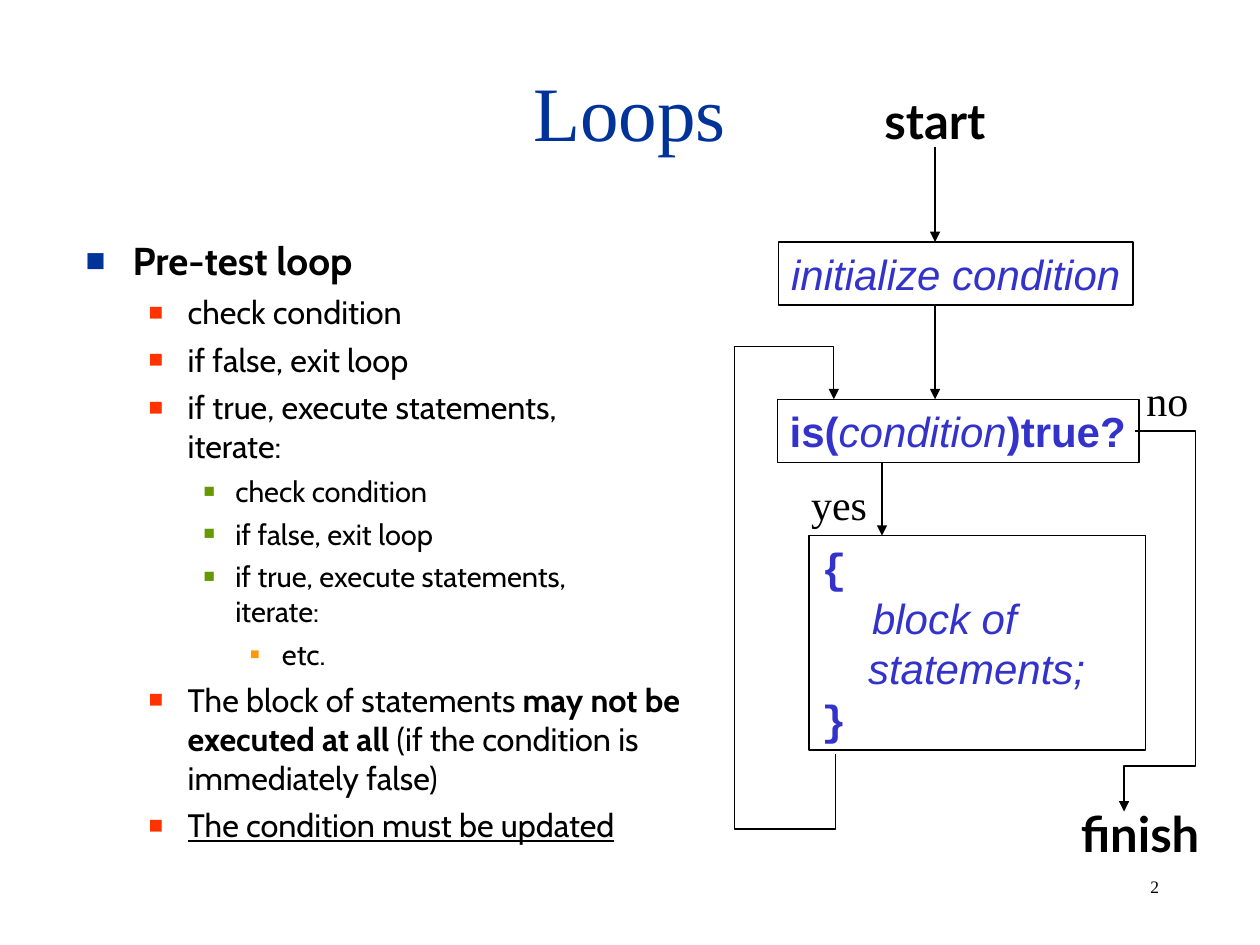
from lxml import etree
from pptx import Presentation
from pptx.dml.color import RGBColor
from pptx.enum.shapes import MSO_CONNECTOR, MSO_SHAPE
from pptx.enum.text import MSO_ANCHOR, MSO_AUTO_SIZE, PP_ALIGN
from pptx.oxml.ns import qn
from pptx.util import Cm, Pt

STRAIGHT = MSO_CONNECTOR.STRAIGHT
RECTANGLE = MSO_SHAPE.RECTANGLE
MIDDLE, TOP = MSO_ANCHOR.MIDDLE, MSO_ANCHOR.TOP
LEFT, CENTER = PP_ALIGN.LEFT, PP_ALIGN.CENTER
NO_AUTOFIT = MSO_AUTO_SIZE.NONE

COLORS = {
    "black": "000000",
    "title": "003399",
    "code": "3333CC",
    "red": "FF3300",
    "green": "669900",
    "orange": "FF9900",
}
SERIF, SANS, MONO = "Times New Roman", "Arial", "Courier New"
LABEL, BODY = "Lato", "Cabin"
LINE_WIDTH = Pt(0.74)

# Per level: left margin, hanging indent (cm), space before, size (pt),
# bullet colour, bullet size (%)
LEVELS = [
    (0.95, 0.95, 6, 22.2, "title", 85),
    (2.06, 0.79, 5, 18.5, "red", 75),
    (3.02, 0.64, 4.5, 16.6, "green", 65),
    (3.96, 0.64, 4.5, 16.6, "orange", 55),
]

# Each item: level, then runs of (text, style); style letters are b, i, u
OUTLINE = [
    (0, [("Pre-test loop", "b")]),
    (1, [("check condition", "")]),
    (1, [("if false, exit loop", "")]),
    (1, [("if true, execute statements,\viterate:", "")]),
    (2, [("check condition", "")]),
    (2, [("if false, exit loop", "")]),
    (2, [("if true, execute statements,\viterate:", "")]),
    (3, [("etc.", "")]),
    (1, [("The block of statements ", ""), ("may not be executed at all", "b"),
         (" (if the condition is immediately false)", "")]),
    (1, [("The condition must be updated", "u")]),
]


def rgb(name):
    return RGBColor.from_string(COLORS[name])


def add_runs(paragraph, runs, font, size, color):
    for text, style in runs:
        for index, line in enumerate(text.split("\v")):
            if index:
                paragraph.add_line_break()
            run = paragraph.add_run()
            run.text = line
            run.font.name = font
            run.font.size = Pt(size)
            run.font.color.rgb = rgb(color)
            run.font.bold = "b" in style
            run.font.italic = "i" in style
            run.font.underline = "u" in style


def place(shape, left, top, width, height):
    shape.left, shape.top = Cm(left), Cm(top)
    shape.width, shape.height = Cm(width), Cm(height)


def set_bullet(paragraph, level):
    margin, hanging, space, _, color, percent = LEVELS[level]
    paragraph.level = level
    paragraph.space_before = Pt(space)
    properties = paragraph._p.get_or_add_pPr()
    properties.set("marL", str(Cm(margin)))
    properties.set("indent", str(-Cm(hanging)))
    bullet_color = etree.SubElement(properties, qn("a:buClr"))
    etree.SubElement(bullet_color, qn("a:srgbClr"), val=COLORS[color])
    etree.SubElement(properties, qn("a:buSzPct"), val=str(percent * 1000))
    etree.SubElement(properties, qn("a:buFont"), typeface=SANS)
    etree.SubElement(properties, qn("a:buChar"), char="■")


def fill_title(title):
    place(title, 1.9, 0.64, 21.59, 3.18)
    frame = title.text_frame
    frame.auto_size = NO_AUTOFIT
    frame.vertical_anchor = MIDDLE
    frame.paragraphs[0].alignment = CENTER
    add_runs(frame.paragraphs[0], [("Loops", "")], SERIF, 44, "title")


def fill_outline(body):
    place(body, 1.47, 4.65, 12.5, 12.9)
    frame = body.text_frame
    frame.auto_size = NO_AUTOFIT
    frame.vertical_anchor = TOP
    for index, (level, runs) in enumerate(OUTLINE):
        paragraph = frame.add_paragraph() if index else frame.paragraphs[0]
        set_bullet(paragraph, level)
        add_runs(paragraph, runs, BODY, LEVELS[level][3], "black")


def add_label(slide, text, box, font, size, style=""):
    shape = slide.shapes.add_textbox(*map(Cm, box))
    shape.text_frame.word_wrap = False
    add_runs(shape.text_frame.paragraphs[0], [(text, style)], font, size, "black")


def style_outline(shape):
    shape.shadow.inherit = False
    shape.fill.background()
    shape.line.color.rgb = rgb("black")
    shape.line.width = LINE_WIDTH


def add_box(slide, box, lines, wrap=False):
    """Each line holds a font, an indent in cm and its runs."""
    shape = slide.shapes.add_shape(RECTANGLE, *map(Cm, box))
    style_outline(shape)
    frame = shape.text_frame
    frame.word_wrap = wrap
    frame.vertical_anchor = TOP
    for index, (font, indent, runs) in enumerate(lines):
        paragraph = frame.add_paragraph() if index else frame.paragraphs[0]
        paragraph.alignment = LEFT
        if indent:
            paragraph._p.get_or_add_pPr().set("marL", str(Cm(indent)))
        add_runs(paragraph, runs, font, 24, "code")


def add_arrowhead(line):
    etree.SubElement(line._get_or_add_ln(), qn("a:tailEnd"), type="triangle")


def add_down_arrow(slide, x, top, bottom):
    connector = slide.shapes.add_connector(STRAIGHT, Cm(x), Cm(top), Cm(x), Cm(bottom))
    connector.line.color.rgb = rgb("black")
    connector.line.width = LINE_WIDTH
    add_arrowhead(connector.line)
    etree.SubElement(connector._element.spPr, qn("a:effectLst"))


def add_route(slide, points):
    start, *rest = [(Cm(x), Cm(y)) for x, y in points]
    builder = slide.shapes.build_freeform(*start)
    builder.add_line_segments(rest, close=False)
    route = builder.convert_to_shape()
    style_outline(route)
    add_arrowhead(route.line)


def add_flowchart(slide):
    # Steps
    add_box(slide, (15.7, 4.88, 7.14, 1.27),
            [(SANS, 0, [("initialize condition", "i")])])
    add_box(slide, (15.67, 8.05, 7.29, 1.27),
            [(SANS, 0, [("is(", "b"), ("condition", "i"), (")true?", "b")])])
    add_box(slide, (16.31, 10.8, 6.78, 4.32), [
        (MONO, 0, [("{", "b")]),
        (SANS, 1.02, [("block of", "i")]),
        (SANS, 0.94, [("statements;", "i")]),
        (MONO, 0, [("}", "b")]),
    ], wrap=True)

    # Arrows between steps
    for x, top, bottom in [(18.85, 2.97, 4.88), (18.85, 6.15, 8.05), (17.78, 9.32, 10.8)]:
        add_down_arrow(slide, x, top, bottom)

    # Exit route and way back to the test
    add_route(slide, [(22.89, 8.69), (24.1, 8.69), (24.1, 15.44),
                      (22.66, 15.44), (22.66, 16.36)])
    add_route(slide, [(16.84, 15.21), (16.84, 16.71), (14.81, 16.71),
                      (14.81, 6.99), (16.81, 6.99), (16.81, 8.05)])

    # Labels
    add_label(slide, "start", (17.58, 1.7, 2.67, 1.45), LABEL, 28, "b")
    add_label(slide, "finish", (21.54, 16.08, 3.28, 1.45), LABEL, 28, "b")
    add_label(slide, "yes", (16.1, 9.53, 1.63, 1.27), SERIF, 24)
    add_label(slide, "no", (22.86, 7.42, 1.35, 1.27), SERIF, 24)


def main():
    presentation = Presentation()
    presentation.slide_width, presentation.slide_height = Cm(25.4), Cm(19.05)
    slide = presentation.slides.add_slide(presentation.slide_layouts[1])
    fill_title(slide.shapes.title)
    fill_outline(slide.placeholders[1])
    add_flowchart(slide)
    add_label(slide, "2", (22.94, 17.53, 1.98, 0.69), SERIF, 10)
    presentation.save("out.pptx")


main()
